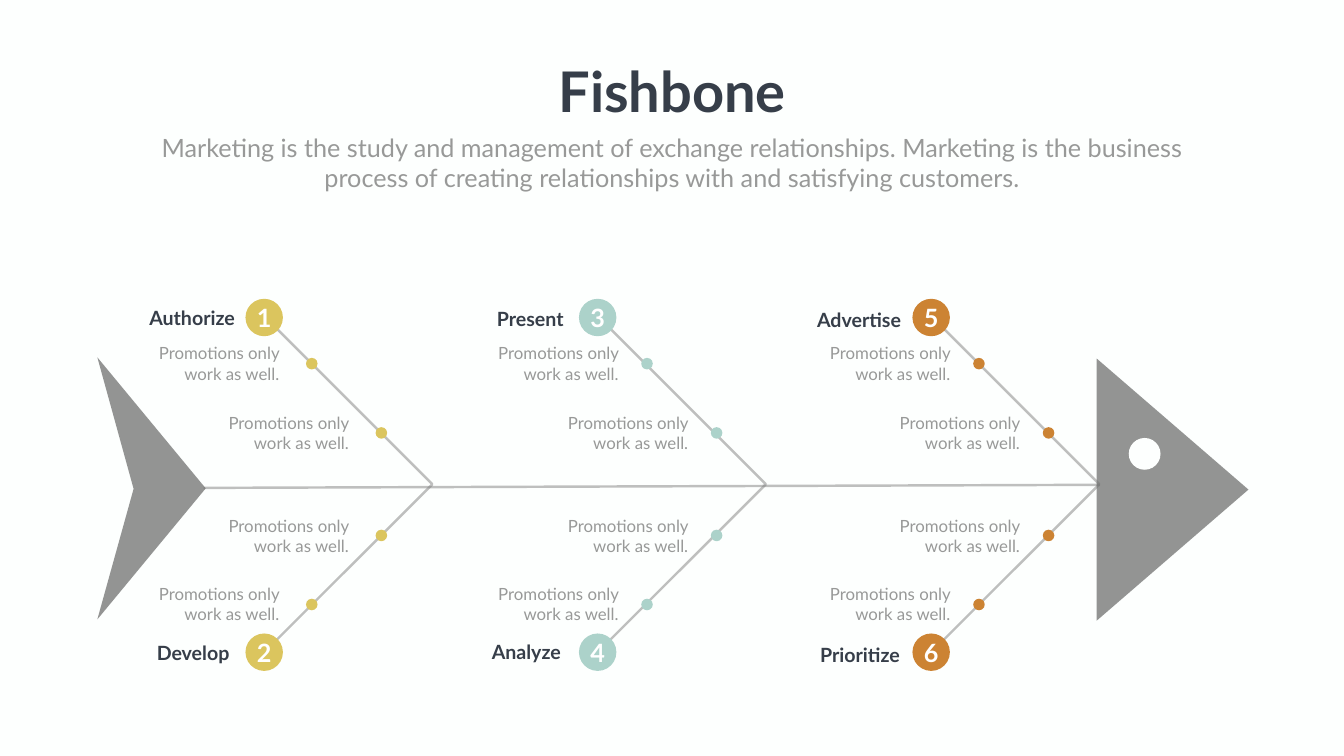
from dataclasses import dataclass

from lxml import etree
from pptx import Presentation
from pptx.dml.color import RGBColor
from pptx.enum.shapes import MSO_CONNECTOR, MSO_SHAPE
from pptx.enum.text import MSO_ANCHOR, MSO_AUTO_SIZE, PP_ALIGN
from pptx.oxml.ns import qn
from pptx.util import Pt


@dataclass(frozen=True)
class Theme:
    font: str = "Lato"
    paper: str = "FDFFFE"
    ink: str = "363E49"
    muted: str = "989998"
    white: str = "FFFFFF"
    bone: str = "808080"
    fin: str = "727372"
    yellow: str = "DBC55E"
    mint: str = "ACD2CA"
    orange: str = "CC8333"
    title: float = 80
    lead: float = 36
    number: float = 36
    label: float = 28
    note: float = 24
    bone_width: float = 3.5
    bone_opacity: int = 50
    fin_opacity: int = 76


def apply(target, values):
    for name, value in values.items():
        setattr(target, name, value)


class Fishbone:
    def __init__(self, slide, theme):
        self.slide = slide
        self.theme = theme
        self.paint(slide.background.fill, theme.paper)

    def paint(self, fill, color, opacity=100):
        fill.solid()
        fill.fore_color.rgb = RGBColor.from_string(color)
        if opacity < 100:
            rgb = fill._xPr.find(f"{qn('a:solidFill')}/{qn('a:srgbClr')}")
            etree.SubElement(rgb, qn("a:alpha"), val=str(opacity * 1000))

    def stroke(self, line):
        line.width = Pt(self.theme.bone_width)
        self.paint(line.fill, self.theme.bone, self.theme.bone_opacity)

    def solid(self, shape, color, opacity=100):
        shape.shadow.inherit = False
        shape.line.fill.background()
        self.paint(shape.fill, color, opacity)
        return shape

    def typeset(self, frame, words, size, color, align, bold=False):
        paragraph = frame.paragraphs[0]
        paragraph.text = words
        paragraph.alignment = align
        apply(paragraph.font, {"name": self.theme.font, "size": Pt(size), "bold": bold})
        paragraph.font.color.rgb = RGBColor.from_string(color)

    def text(self, box, words, size, color, align=PP_ALIGN.CENTER, bold=False, wrap=True):
        frame = self.slide.shapes.add_textbox(*map(Pt, box)).text_frame
        apply(frame, {"word_wrap": wrap, "auto_size": MSO_AUTO_SIZE.SHAPE_TO_FIT_TEXT})
        self.typeset(frame, words, size, color, align, bold)

    def disc(self, x, y, diameter, color):
        box = (x - diameter / 2, y - diameter / 2, diameter, diameter)
        return self.solid(self.slide.shapes.add_shape(MSO_SHAPE.OVAL, *map(Pt, box)), color)

    def badge(self, x, y, number, color):
        frame = self.disc(x, y, 53.5, color).text_frame
        apply(frame, {
            "margin_left": 0, "margin_right": 0, "margin_top": 0, "margin_bottom": 0,
            "word_wrap": False, "vertical_anchor": MSO_ANCHOR.MIDDLE,
        })
        self.typeset(frame, str(number), self.theme.number, self.theme.white, PP_ALIGN.CENTER, True)

    def outline(self, points, close):
        (x, y), *rest = [(Pt(px), Pt(py)) for px, py in points]
        builder = self.slide.shapes.build_freeform(x, y)
        builder.add_line_segments(rest, close=close)
        shape = builder.convert_to_shape()
        shape.shadow.inherit = False
        return shape

    def rib(self, x, top, joint, bottom):
        reach = (bottom - top) / 2
        shape = self.outline([(x, top), (x + reach, joint), (x, bottom)], False)
        shape.fill.background()
        self.stroke(shape.line)

    def spine(self, start, end):
        line = self.slide.shapes.add_connector(MSO_CONNECTOR.STRAIGHT, *map(Pt, start + end))
        self.stroke(line.line)
        etree.SubElement(line._element.spPr, qn("a:effectLst"))

    def tail(self, points):
        self.solid(self.outline(points, True), self.theme.fin, self.theme.fin_opacity)

    def head(self, box):
        triangle = self.slide.shapes.add_shape(MSO_SHAPE.ISOSCELES_TRIANGLE, *map(Pt, box))
        triangle.rotation = 90
        self.solid(triangle, self.theme.fin, self.theme.fin_opacity)


def main():
    theme = Theme()
    deck = Presentation()
    apply(deck, {"slide_width": Pt(1919.52), "slide_height": Pt(1080)})
    fish = Fishbone(deck.slides.add_slide(deck.slide_layouts[6]), theme)

    first_rib, rib_gap = 377.3, 476.3
    badge_rows = (453.6, 931.7)
    inner_shift = 99.4
    details = [
        (0, 519.5, 486.7),
        (inner_shift, 618.5, 585.4),
        (inner_shift, 765, 733),
        (0, 863.6, 830.2),
    ]
    branches = [
        (theme.yellow, 445.3, 206.6, [("Authorize", 195.1, 433.4), ("Develop", 196.6, 911.5)]),
        (theme.mint, 924.1, 691.2, [("Present", 678.2, 435.6), ("Analyze", 672.5, 910.1)]),
        (theme.orange, 1398.2, 1165, [("Advertise", 1147.7, 436.3), ("Prioritize", 1149.1, 915.1)]),
    ]

    fish.spine((290.9, 697), (1571, 692.6))
    for column, (color, dot_x, note_x, causes) in enumerate(branches):
        rib_x = first_rib + column * rib_gap
        fish.rib(rib_x, 451.4, 691.7, 931.9)
        for shift, dot_y, note_y in details:
            fish.disc(dot_x + shift, dot_y, 16.5, color)
            fish.text((note_x + shift, note_y, 199.4, 65.5), "Promotions only work as well.",
                      theme.note, theme.muted, PP_ALIGN.RIGHT)
        for row, (cause, label_x, label_y) in enumerate(causes):
            fish.badge(rib_x, badge_rows[row], 2 * column + row + 1, color)
            fish.text((label_x, label_y, 158.4, 41), cause, theme.label, theme.ink, bold=True)

    fish.head((1487.5, 591.1, 374.4, 216.7))
    fish.tail([(139, 510.5), (293.8, 697.7), (139, 884.9), (190.8, 698.4)])
    fish.disc(1634.8, 648.4, 45.4, theme.paper)

    fish.text((787.7, 77.8, 344.9, 104.4), "Fishbone", theme.title, theme.ink, bold=True, wrap=False)
    fish.text((210.2, 185, 1499, 94.3),
              "Marketing is the study and management of exchange relationships. Marketing is the "
              "business process of creating relationships with and satisfying customers.",
              theme.lead, theme.muted)
    deck.save("out.pptx")


if __name__ == "__main__":
    main()
